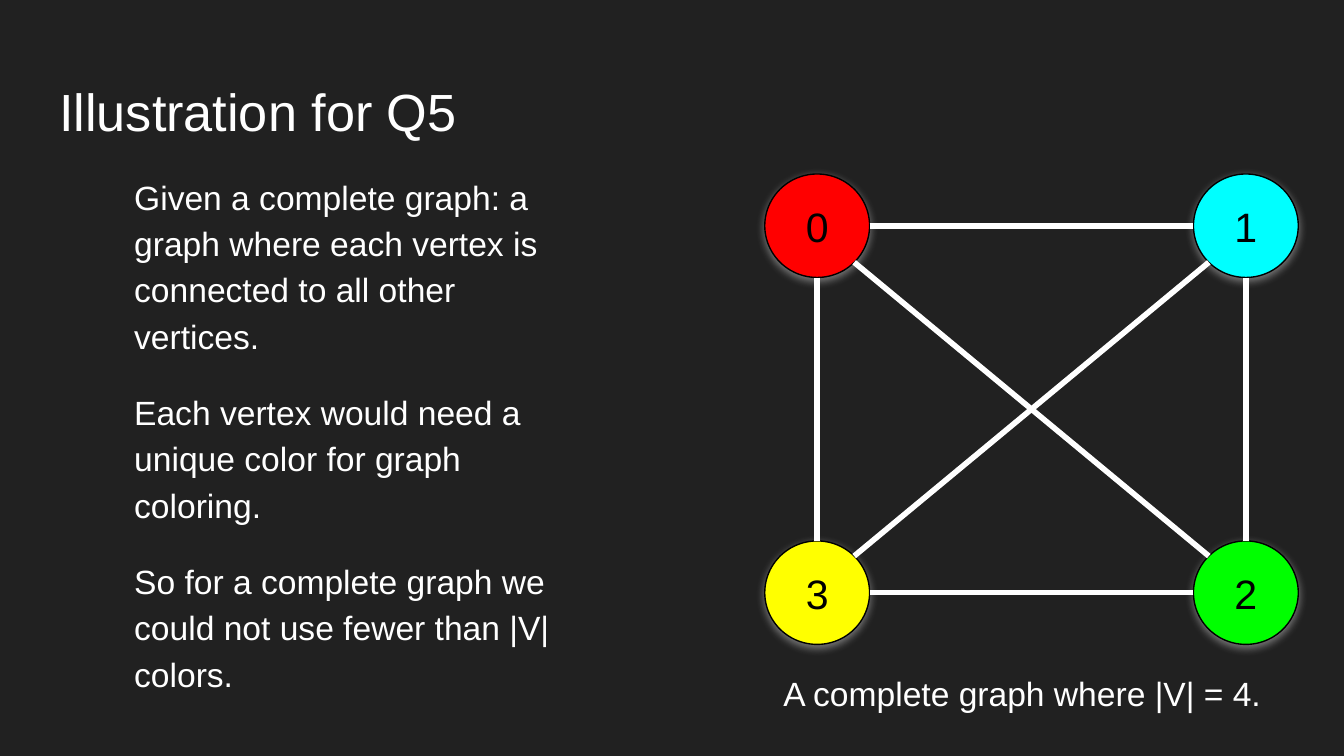
from dataclasses import dataclass
from itertools import combinations
from math import sqrt

from lxml import etree
from pptx import Presentation
from pptx.dml.color import RGBColor as Rgb
from pptx.enum.shapes import MSO_CONNECTOR as Connector, MSO_SHAPE as Shape
from pptx.enum.text import MSO_ANCHOR as Anchor, MSO_AUTO_SIZE as AutoSize, PP_ALIGN as Align
from pptx.oxml import parse_xml
from pptx.oxml.ns import nsdecls, qn
from pptx.slide import Slide
from pptx.text.text import TextFrame, _Paragraph as Paragraph
from pptx.util import Inches, Pt


@dataclass(frozen=True)
class Theme:
    font: str = "Arial"
    background: str = "212121"
    light: str = "FFFFFF"
    dark: str = "000000"
    title_size: int = 28
    body_size: int = 18
    label_size: int = 22
    outline: float = 0.75
    edge: float = 3


@dataclass(frozen=True)
class Vertex:
    label: str
    x: float  # centre
    y: float
    color: str


THEME = Theme()
SLIDE_W = 10
SLIDE_H = SLIDE_W * 9 / 16
VERTEX_W, VERTEX_H = 0.78, 0.77
LEFT, RIGHT, TOP, BOTTOM = 6.08, 9.27, 1.68, 4.41

VERTICES = [
    Vertex("0", LEFT, TOP, "FF0000"),
    Vertex("1", RIGHT, TOP, "00FFFF"),
    Vertex("2", RIGHT, BOTTOM, "00FF00"),
    Vertex("3", LEFT, BOTTOM, "FFFF00"),
]
EXPLANATION = [
    "Given a complete graph: a graph where each vertex is connected to all other vertices.",
    "Each vertex would need a unique color for graph coloring.",
    "So for a complete graph we could not use fewer than |V| colors.",
]


def add_run(paragraph: Paragraph, text: str, size: int, color: str) -> None:
    run = paragraph.add_run()
    run.text = text
    run.font.name = THEME.font
    run.font.size = Pt(size)
    run.font.color.rgb = Rgb.from_string(color)


def set_frame(frame: TextFrame, anchor: Anchor = Anchor.TOP) -> None:
    frame.word_wrap = True
    frame.auto_size = AutoSize.NONE
    frame.vertical_anchor = anchor
    frame.margin_left = frame.margin_right = Inches(0.1)
    frame.margin_top = frame.margin_bottom = Inches(0.1)


def add_text_box(slide: Slide, x: float, y: float, w: float, h: float) -> TextFrame:
    frame = slide.shapes.add_textbox(Inches(x), Inches(y), Inches(w), Inches(h)).text_frame
    set_frame(frame)
    return frame


def add_vertex(slide: Slide, vertex: Vertex) -> None:
    circle = slide.shapes.add_shape(
        Shape.OVAL, Inches(vertex.x - VERTEX_W / 2), Inches(vertex.y - VERTEX_H / 2),
        Inches(VERTEX_W), Inches(VERTEX_H))
    circle.fill.solid()
    circle.fill.fore_color.rgb = Rgb.from_string(vertex.color)
    circle.line.color.rgb = Rgb.from_string(THEME.dark)
    circle.line.width = Pt(THEME.outline)

    # Soft light glow falling downwards
    circle.shadow.inherit = False
    circle._element.spPr.find(qn("a:effectLst")).append(parse_xml(
        f'<a:outerShdw {nsdecls("a")} blurRad="{Pt(4.5)}" dist="{Pt(1.5)}" dir="5400000" '
        f'algn="bl" rotWithShape="0"><a:srgbClr val="{THEME.light}">'
        '<a:alpha val="40000"/></a:srgbClr></a:outerShdw>'))

    set_frame(circle.text_frame, Anchor.MIDDLE)
    label = circle.text_frame.paragraphs[0]
    label.alignment = Align.CENTER
    add_run(label, vertex.label, THEME.label_size, THEME.dark)


def rim_point(vertex: Vertex, toward: Vertex) -> tuple[float, float]:
    """Point on the vertex's rim, in one of eight directions, facing another vertex."""
    step_x = (toward.x > vertex.x) - (toward.x < vertex.x)
    step_y = (toward.y > vertex.y) - (toward.y < vertex.y)
    reach = sqrt(0.5) if step_x and step_y else 1
    return (vertex.x + step_x * reach * VERTEX_W / 2,
            vertex.y + step_y * reach * VERTEX_H / 2)


def add_edge(slide: Slide, start: Vertex, end: Vertex) -> None:
    ends = (*rim_point(start, end), *rim_point(end, start))
    edge = slide.shapes.add_connector(Connector.STRAIGHT, *map(Inches, ends))
    edge.line.color.rgb = Rgb.from_string(THEME.light)
    edge.line.width = Pt(THEME.edge)
    etree.SubElement(edge._element.spPr, qn("a:effectLst"))


def main() -> None:
    deck = Presentation()
    deck.slide_width, deck.slide_height = Inches(SLIDE_W), Inches(SLIDE_H)
    slide = deck.slides.add_slide(deck.slide_layouts[5])
    slide.background.fill.solid()
    slide.background.fill.fore_color.rgb = Rgb.from_string(THEME.background)

    # Title
    title = slide.shapes.title
    title.left, title.top, title.width, title.height = map(Inches, (0.34, 0.49, 9.32, 0.63))
    set_frame(title.text_frame)
    heading = title.text_frame.paragraphs[0]
    heading.alignment = Align.LEFT
    add_run(heading, "Illustration for Q5", THEME.title_size, THEME.light)

    # Explanation
    explanation = add_text_box(slide, 0.9, 1.17, 3.38, 3.74)
    for index, sentence in enumerate(EXPLANATION):
        paragraph = explanation.add_paragraph() if index else explanation.paragraphs[0]
        paragraph.line_spacing = 1.15
        paragraph.space_before = Pt(16 if index else 0)
        add_run(paragraph, sentence, THEME.body_size, THEME.light)

    # Complete graph: every pair of vertices is joined
    for vertex in VERTICES:
        add_vertex(slide, vertex)
    for start, end in combinations(VERTICES, 2):
        add_edge(slide, start, end)

    # Caption
    caption = add_text_box(slide, 5.73, 4.91, 3.88, 0.5)
    add_run(caption.paragraphs[0], "A complete graph where |V| = 4.",
            THEME.body_size, THEME.light)

    deck.save("out.pptx")


if __name__ == "__main__":
    main()
